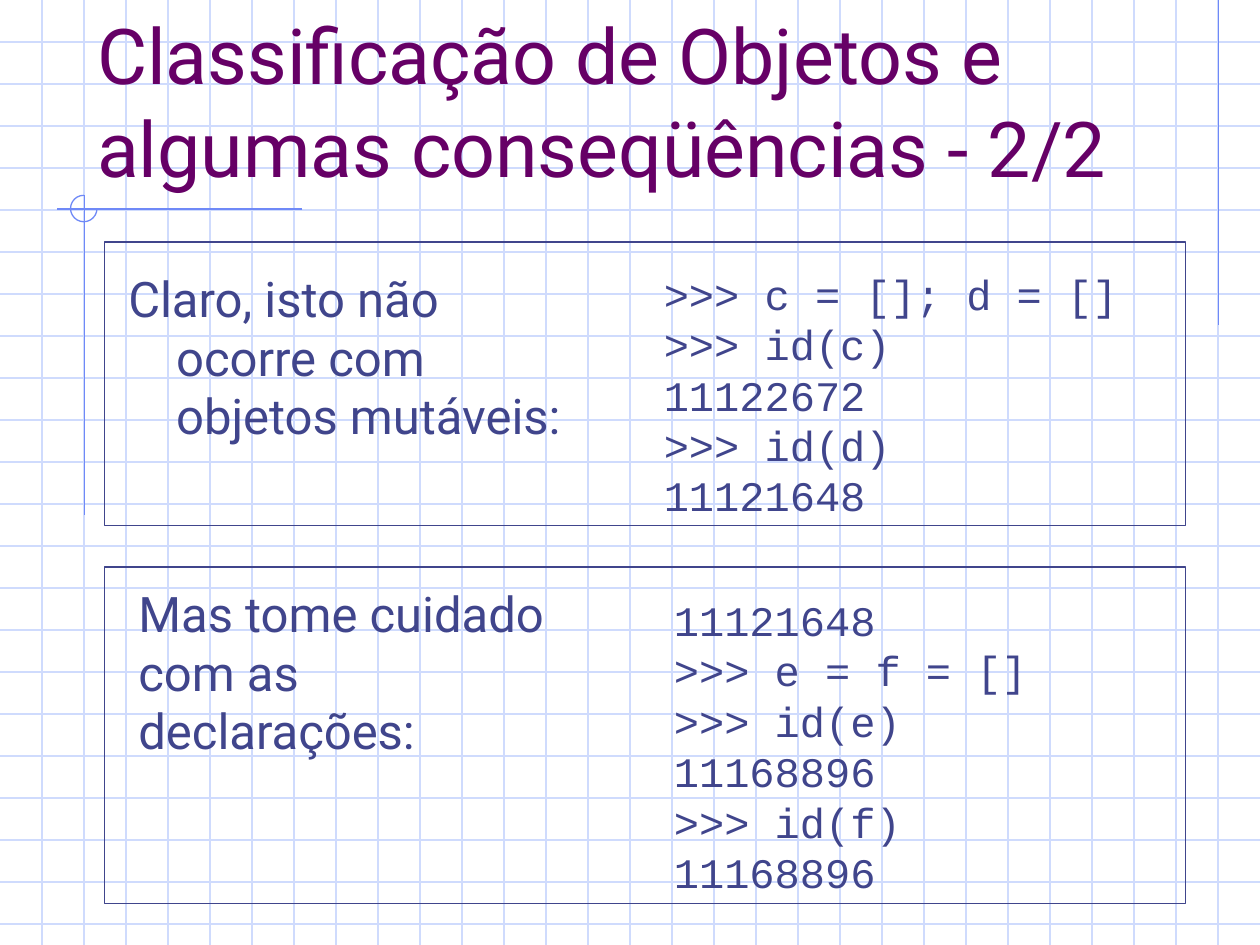
import pptx
import pptx.dml.color
import pptx.enum.shapes
import pptx.enum.text
import pptx.oxml
import pptx.util

Inches = pptx.util.Inches
Pt = pptx.util.Pt
GRID = pptx.dml.color.RGBColor(0xCF, 0xDB, 0xFD)
ACCENT = pptx.dml.color.RGBColor(0x6F, 0x89, 0xF7)
PURPLE = pptx.dml.color.RGBColor(0x66, 0x00, 0x66)
INK = pptx.dml.color.RGBColor(0x40, 0x45, 0x8C)
LINE_WIDTH = Pt(0.74)

presentation = pptx.Presentation()
presentation.slide_width = Inches(10)
presentation.slide_height = Inches(7.5)
slide = presentation.slides.add_slide(presentation.slide_layouts[5])
title = slide.shapes.title


def add_line(group, start, end, color):
    line = group.shapes.add_connector(
        pptx.enum.shapes.MSO_CONNECTOR.STRAIGHT,
        *[Inches(value) for value in (*start, *end)])
    line.line.color.rgb = color
    line.line.width = LINE_WIDTH
    line._element.spPr.append(pptx.oxml.parse_xml(
        '<a:effectLst xmlns:a="http://schemas.openxmlformats.org/drawingml/2006/main"/>'))


def write_text(shape, text, size=28, font="Roboto", color=INK, wrap=True,
               anchor=pptx.enum.text.MSO_ANCHOR.TOP, space_before=0, hanging=0):
    frame = shape.text_frame
    frame.word_wrap = wrap
    frame.auto_size = pptx.enum.text.MSO_AUTO_SIZE.NONE
    frame.vertical_anchor = anchor
    frame.text = text
    for paragraph in frame.paragraphs:
        paragraph.alignment = pptx.enum.text.PP_ALIGN.LEFT
        paragraph.space_before = Pt(space_before)
        if hanging:
            properties = paragraph._p.get_or_add_pPr()
            properties.set("marL", str(Inches(hanging)))
            properties.set("indent", str(-Inches(hanging)))
        paragraph.font.size = Pt(size)
        for run in paragraph.runs:
            run.font.size = Pt(size)
            run.font.name = font
            run.font.color.rgb = color


# Squared-paper background, three squares to the inch
grid = slide.shapes.add_group_shape()
for row in range(1, 23):
    add_line(grid, (0, row / 3), (10, row / 3), GRID)
for column in range(1, 30):
    add_line(grid, (column / 3, 0), (column / 3, 7.5), GRID)

# Accent lines and three-quarter circle
accents = slide.shapes.add_group_shape()
for start, end in [((9.67, 0), (9.67, 2.58)), ((2.4, 1.66), (0.45, 1.66)),
                   ((0.67, 1.55), (0.67, 4.09))]:
    add_line(accents, start, end, ACCENT)
arc = accents.shapes.add_shape(
    pptx.enum.shapes.MSO_SHAPE.ARC,
    Inches(0.56), Inches(1.55), Inches(0.21), Inches(0.21))
arc.adjustments[0] = 0
arc.adjustments[1] = 162  # 270 degrees
arc.shadow.inherit = False
arc.fill.background()
arc.line.color.rgb = ACCENT
arc.line.width = LINE_WIDTH

# Title, brought in front of the grid
title.left, title.top = Inches(0.67), Inches(0.33)
title.width, title.height = Inches(8.5), Inches(1.25)
write_text(title, "Classificação de Objetos e algumas conseqüências - 2/2",
           size=44, color=PURPLE, anchor=pptx.enum.text.MSO_ANCHOR.BOTTOM)
title._element.getparent().append(title._element)

# Explanations and code
code = {"size": 24, "font": "Courier New", "wrap": False}
for box, text, text_format in [
    ((0.92, 2.08, 3.67, 2.17), "Claro, isto não ocorre com objetos mutáveis:",
     {"space_before": 7, "hanging": 0.38}),
    ((5.17, 2.08, 3.8, 2.1),
     ">>> c = []; d = []\n>>> id(c)\n11122672\n>>> id(d)\n11121648", code),
    ((1, 4.58, 3.75, 1.5), "Mas tome cuidado com as declarações:", {}),
    ((5.25, 4.67, 3, 2.5),
     "11121648\n>>> e = f = []\n>>> id(e)\n11168896\n>>> id(f)\n11168896", code),
]:
    text_box = slide.shapes.add_textbox(*[Inches(value) for value in box])
    write_text(text_box, text, **text_format)

# Frames around the two examples
for top, height in [(4.5, 2.67), (1.92, 2.25)]:
    frame_box = slide.shapes.add_shape(
        pptx.enum.shapes.MSO_SHAPE.RECTANGLE,
        Inches(0.83), Inches(top), Inches(8.58), Inches(height))
    frame_box.shadow.inherit = False
    frame_box.fill.background()
    frame_box.line.color.rgb = INK
    frame_box.line.width = LINE_WIDTH

presentation.save("out.pptx")
